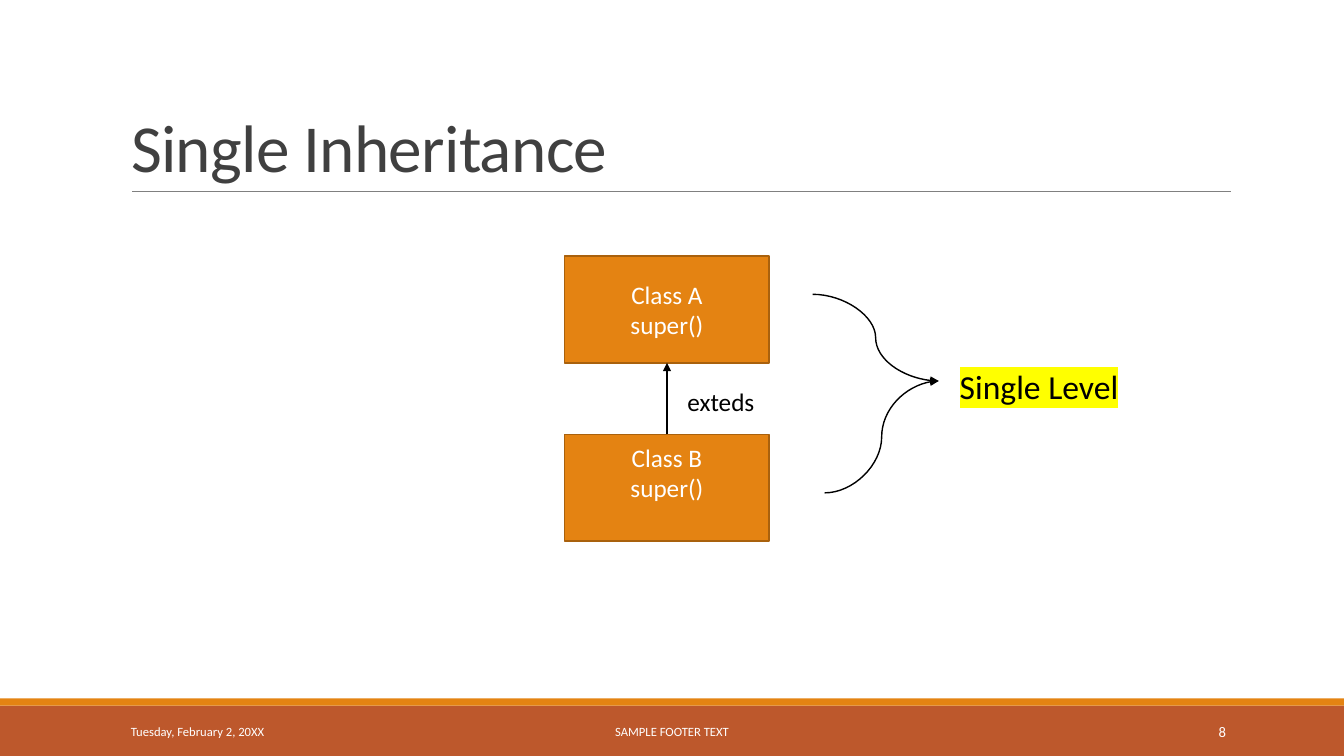
from lxml import etree
from pptx import Presentation
from pptx import util as u
from pptx.dml.color import RGBColor
from pptx.enum import shapes as sh, text as tx
from pptx.oxml import ns

PX = 9144  # 100 px to the inch
WIDE, HIGH = 1333, 750
BLACK, WHITE = "000000", "FFFFFF"
LEFT, MID, RIGHT = tx.PP_ALIGN.LEFT, tx.PP_ALIGN.CENTER, tx.PP_ALIGN.RIGHT


def px(*nums):
    return [u.Emu(n * PX) for n in nums]


def hue(code):
    return RGBColor.from_string(code)


def write(frame, lines, size, color, align=LEFT, anchor=tx.MSO_ANCHOR.MIDDLE):
    """Fill a text frame with one paragraph a line; return the last run."""
    frame.word_wrap = True
    frame.auto_size = tx.MSO_AUTO_SIZE.NONE
    frame.vertical_anchor = anchor
    for i, line in enumerate(lines):
        para = frame.add_paragraph() if i else frame.paragraphs[0]
        para.alignment = align
        run = para.add_run()
        run.text = line
        run.font.name = "Calibri"
        run.font.size = u.Pt(size)
        run.font.color.rgb = hue(color)
    return run


def label(slide, box, line, size, color=BLACK, **look):
    frame = slide.shapes.add_textbox(*px(*box)).text_frame
    return write(frame, [line], size, color, **look)


def block(slide, box, fill, edge=None):
    rect = slide.shapes.add_shape(sh.MSO_SHAPE.RECTANGLE, *px(*box))
    rect.shadow.inherit = False
    rect.fill.solid()
    rect.fill.fore_color.rgb = hue(fill)
    if edge:
        rect.line.color.rgb = hue(edge)
        rect.line.width = u.Pt(1.25)
    else:
        rect.line.fill.background()
    return rect


def link(slide, kind, ends, color=BLACK, width=1, arrow=True):
    line = slide.shapes.add_connector(kind, *px(*ends))
    line.line.color.rgb = hue(color)
    line.line.width = u.Pt(width)
    if arrow:
        tip = etree.SubElement(line.line._get_or_add_ln(), ns.qn("a:tailEnd"))
        tip.set("type", "triangle")
    etree.SubElement(line._element.spPr, ns.qn("a:effectLst"))
    return line


def header(slide, box):
    """Title with a thin rule along its lower edge."""
    x, y, w, h = box
    link(slide, sh.MSO_CONNECTOR.STRAIGHT, (x + 11, y + h, x + w + 1, y + h),
         "808080", 0.5, arrow=False)
    title = slide.shapes.title
    title.left, title.top, title.width, title.height = px(*box)
    run = write(title.text_frame, ["Single Inheritance"], 48, "404040",
                anchor=tx.MSO_ANCHOR.BOTTOM)
    title.text_frame.paragraphs[0].line_spacing = 0.85
    run.font._element.set("spc", "-50")


def footer(slide, box):
    """Two colour bands with date, footer text and page number."""
    x, y, w, h = box
    block(slide, (x, y + 7, w, h - 7), "BD582C")
    block(slide, (x, y, w, 7), "E48312")
    for left, wide, line, size, align in (
            (120, 270, "Tuesday, February 2, 20XX", 9, LEFT),
            (403, 527, "SAMPLE FOOTER TEXT", 9, MID),
            (1083, 143, "8", 10.5, RIGHT)):
        label(slide, (x + left, y + 13, wide, 40), line, size, WHITE, align=align)


def diagram(slide, box):
    """Two class boxes joined by an arrow, and curves to the result."""
    x, y, w, h = box
    wide, high = 203, 106
    cards = []
    for name, top, pad in (("Class A", y, 5), ("Class B", y + h - high, 35)):
        card = block(slide, (x, top, wide, high), "E48312", "A9610D")
        card.text_frame.margin_bottom, = px(pad)
        write(card.text_frame, [name, "super()"], 18, WHITE, MID)
        cards.append(card)

    # Child to parent
    upper, lower = cards
    arrow = link(slide, sh.MSO_CONNECTOR.STRAIGHT, (x, y + h, x, y))
    arrow.begin_connect(lower, 0)
    arrow.end_connect(upper, 2)
    label(slide, (x + 112, y + 124, 133, 40), "exteds", 18)

    # Both classes to the result
    for left, top in ((246, 38), (258, 235)):
        link(slide, sh.MSO_CONNECTOR.CURVE,
             (x + left, y + top, x + 371, y + 124))
    run = label(slide, (x + w - 199, y + 104, 199, 50), "Single Level", 24)
    mark = etree.Element(ns.qn("a:highlight"))
    etree.SubElement(mark, ns.qn("a:srgbClr")).set("val", "FFFF00")
    run.font._element.find(ns.qn("a:solidFill")).addnext(mark)


def main():
    deck = Presentation()
    deck.slide_width, deck.slide_height = px(WIDE, HIGH)
    slide = deck.slides.add_slide(deck.slide_layouts[5])
    footer(slide, (0, 693, WIDE, 57))
    header(slide, (120, 31, 1100, 159))
    diagram(slide, (560, 254, 581, 283))
    deck.save("out.pptx")


if __name__ == "__main__":
    main()
